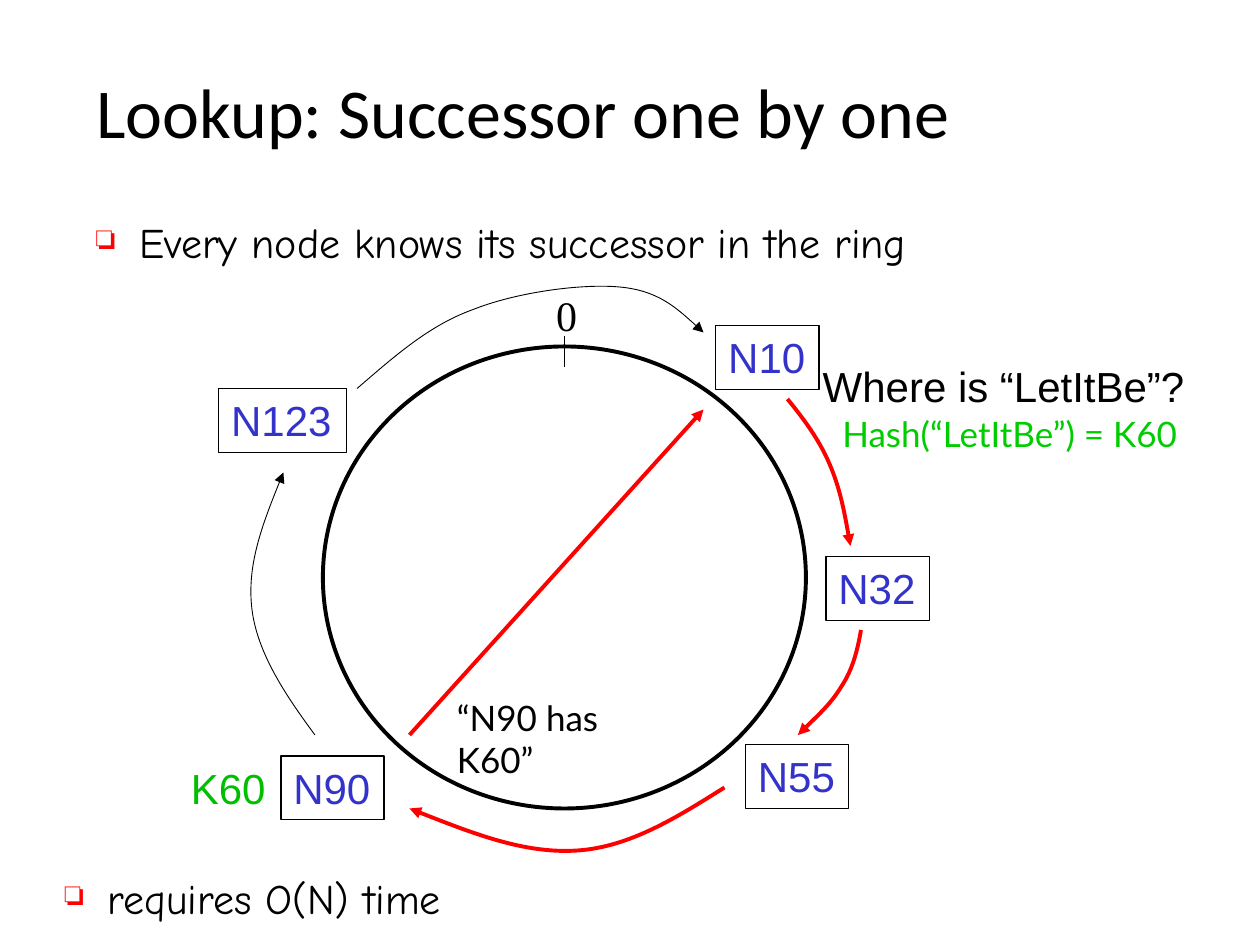
from pptx import Presentation
from pptx import util as u
from pptx.dml.color import RGBColor
from pptx.enum import shapes, text
from pptx.oxml.ns import qn
from lxml import etree

Pt = u.Pt
C = {"black": "000000", "red": "FF0000", "node": "3333CC",
     "hash": "00CC00", "key": "00BE00"}
MIDDLE, TOP = text.MSO_ANCHOR.MIDDLE, text.MSO_ANCHOR.TOP
CENTER, LEFT = text.PP_ALIGN.CENTER, text.PP_ALIGN.LEFT

# Content: boxes are left, top, width, height
RING = (184.5, 198, 276, 264)
NODE_H = 36.5
NODES = [("N32", 472, 318, 59), ("N90", 160.5, 432, 59), ("N123", 125, 222, 73),
         ("N10", 409, 186, 59), ("N55", 426, 425.5, 59)]
LABELS = [
    ("Lookup: Successor one by one", (48, 24, 600, 78),
     dict(size=40, font="Calibri", anchor=MIDDLE)),
    ("0", (310.5, 162, 26.5, 36),
     dict(font="Times New Roman", anchor=MIDDLE, align=CENTER, wrap=False)),
    ("Hash(“LetItBe”) = K60", (470, 232.5, 214, 31),
     dict(size=20, font="Lato", color="hash", anchor=MIDDLE, align=CENTER, wrap=False)),
    ("Where is “LetItBe”?", (460, 202.5, 227, 36), dict(anchor=MIDDLE, align=CENTER)),
    ("“N90 has K60”", (254, 394.5, 141.5, 31), dict(size=20, font="Lato")),
    ("K60", (102, 432, 58, 36), dict(color="key", wrap=False)),
]
BULLETS = [("Every node knows its successor in the ring", (48, 120, 534, 50)),
           ("requires O(N) time", (30, 495, 534, 50))]
# Straight lines: start, end, colour, width, arrow
LINES = [((322.5, 192), (322.5, 210), "black", 0.75, False),
         ((234, 420), (402, 234), "red", 2.25, True)]
# Curved hops: colour, width, start point followed by Bezier triples
HOPS = [
    ("red", 2.25, [(450, 228), (459, 239), (468, 251), (474, 265),
                   (480, 279), (483, 295), (486, 312)]),
    ("red", 2.25, [(492, 360), (490, 372), (487, 383), (481, 392),
                   (475, 402), (465, 411), (456, 420)]),
    ("red", 2.25, [(414, 450), (387, 467), (360, 484), (330, 486),
                   (300, 488), (267, 475), (234, 462)]),
    ("black", 0.5, [(180, 420), (163, 397), (147, 373), (144, 348),
                    (141, 323), (151, 297), (162, 270)]),
    ("black", 0.5, [(204, 222), (225, 204), (245, 186), (270, 177),
                    (295, 167), (332, 162), (354, 164),
                    (376, 166), (389, 178), (402, 190)]),
]

prs = Presentation()
prs.slide_width, prs.slide_height = Pt(720), Pt(540)
slide = prs.slides.add_slide(prs.slide_layouts[6])


def rgb(name):
    return RGBColor.from_string(C[name])


def pts(values):
    return [Pt(v) for v in values]


def write(sp, content, size=24, font="Arial", color="black", anchor=TOP,
          align=LEFT, wrap=True, bullet=False):
    tf = sp.text_frame
    tf.word_wrap, tf.vertical_anchor = wrap, anchor
    p = tf.paragraphs[0]
    p.alignment = align
    if bullet:
        pPr = p._p.get_or_add_pPr()
        pPr.set("marL", str(Pt(24.5)))
        pPr.set("indent", str(-Pt(24.5)))
        clr = etree.SubElement(pPr, qn("a:buClr"))
        etree.SubElement(clr, qn("a:srgbClr"), val=C["red"])
        etree.SubElement(pPr, qn("a:buSzPct"), val="80000")
        etree.SubElement(pPr, qn("a:buChar"), char="❏")
    r = p.add_run()
    r.text = content
    r.font.size, r.font.name = Pt(size), font
    r.font.color.rgb = rgb(color)


def outline(sp, color, width, arrow=False):
    sp.line.color.rgb, sp.line.width = rgb(color), Pt(width)
    if arrow:
        etree.SubElement(sp.line._get_or_add_ln(), qn("a:tailEnd"), type="triangle")


def hollow(kind, box):
    sp = slide.shapes.add_shape(kind, *pts(box))
    sp.shadow.inherit = False
    sp.fill.background()
    return sp


def add_curve(points):
    """Draw the points as an open path, then turn each three into a Bezier."""
    pen = slide.shapes.build_freeform(*pts(points[0]))
    pen.add_line_segments([pts(pt) for pt in points[1:]], close=False)
    sp = pen.convert_to_shape()
    sp.shadow.inherit = False
    sp.fill.background()
    segments = list(sp._element.iter(qn("a:lnTo")))
    route = segments[0].getparent()
    for i in range(0, len(segments), 3):
        bezier = etree.SubElement(route, qn("a:cubicBezTo"))
        for seg in segments[i:i + 3]:
            bezier.append(seg[0])
            route.remove(seg)
    return sp


# Ring and its nodes
outline(hollow(shapes.MSO_SHAPE.OVAL, RING), "black", 2.25)
for name, x, y, w in NODES:
    sp = hollow(shapes.MSO_SHAPE.RECTANGLE, (x, y, w, NODE_H))
    outline(sp, "black", 0.75)
    write(sp, name, color="node", wrap=False)

# Zero mark and direct reply
for start, end, color, width, arrow in LINES:
    line = slide.shapes.add_connector(shapes.MSO_CONNECTOR.STRAIGHT, *pts(start + end))
    outline(line, color, width, arrow)
    etree.SubElement(line._element.spPr, qn("a:effectLst"))

# Hops from node to successor
for color, width, points in HOPS:
    outline(add_curve(points), color, width, arrow=True)

# Title, labels and bullets
for content, box, style in LABELS:
    write(slide.shapes.add_textbox(*pts(box)), content, **style)
for content, box in BULLETS:
    write(slide.shapes.add_textbox(*pts(box)), content, font="Comic Neue", bullet=True)

prs.save("out.pptx")
